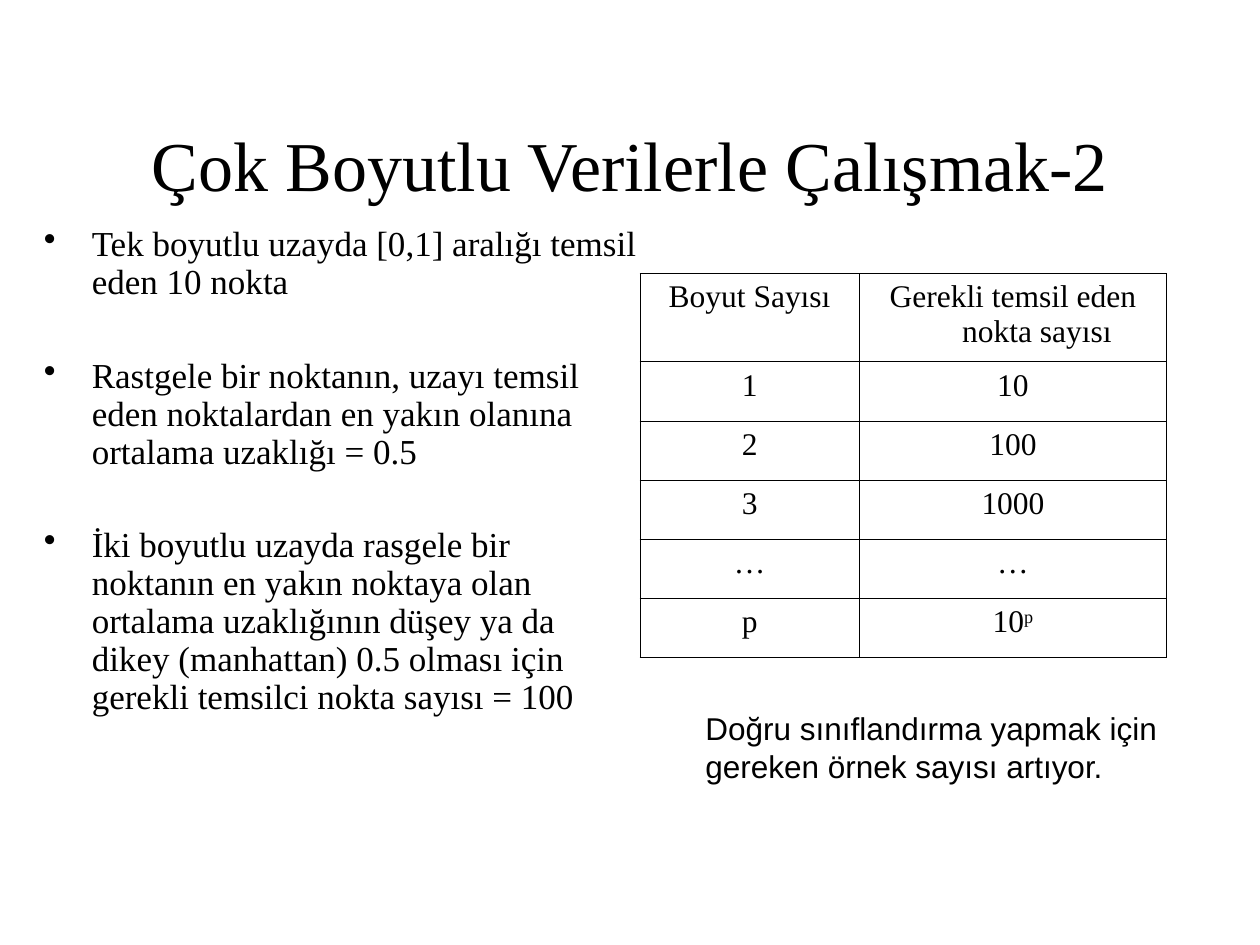
from lxml.etree import SubElement
from pptx import Presentation
from pptx.dml.color import RGBColor
from pptx.enum.text import MSO_ANCHOR, PP_ALIGN
from pptx.oxml.ns import qn
from pptx.util import Inches, Pt

BLACK = "000000"
SERIF = "Times New Roman"
SANS = "Arial"
INDENT = Inches(0.38)

POINTS = [
    "Tek boyutlu uzayda [0,1] aralığı temsil eden 10 nokta",
    "Rastgele bir noktanın, uzayı temsil eden noktalardan en yakın olanına "
    "ortalama uzaklığı = 0.5",
    "İki boyutlu uzayda rasgele bir noktanın en yakın noktaya olan ortalama "
    "uzaklığının düşey ya da dikey (manhattan) 0.5 olması için gerekli "
    "temsilci nokta sayısı = 100",
]
SAMPLE_COUNTS = [
    ("Boyut Sayısı", "Gerekli temsil eden nokta sayısı"),
    ("1", "10"),
    ("2", "100"),
    ("3", "1000"),
    ("…", "…"),
    ("p", "10"),
]
CONCLUSION = ["Doğru sınıflandırma yapmak için", "gereken örnek sayısı artıyor."]


def color(hex_value):
    return RGBColor.from_string(hex_value)


def add_run(paragraph, text, size, font=SERIF):
    run = paragraph.add_run()
    run.text = text
    run.font.size = Pt(size)
    run.font.name = font
    run.font.color.rgb = color(BLACK)
    return run


def hang(paragraph):
    properties = paragraph._p.get_or_add_pPr()
    properties.set("marL", str(INDENT))
    properties.set("indent", str(-INDENT))
    return properties


def add_text_frame(slide, box):
    frame = slide.shapes.add_textbox(*box).text_frame
    frame.word_wrap = True
    return frame


def next_paragraph(frame, index):
    return frame.add_paragraph() if index else frame.paragraphs[0]


def place_title(slide, box):
    title = slide.shapes.title
    title.left, title.top, title.width, title.height = box
    title.text_frame.vertical_anchor = MSO_ANCHOR.MIDDLE
    heading = title.text_frame.paragraphs[0]
    heading.alignment = PP_ALIGN.CENTER
    add_run(heading, "Çok Boyutlu Verilerle Çalışmak-2", 40)


def place_points(slide, box):
    frame = add_text_frame(slide, box)
    for index, point in enumerate(POINTS):
        paragraph = next_paragraph(frame, index)
        SubElement(hang(paragraph), qn("a:buChar"), char="•")
        paragraph.line_spacing = 0.9
        if index:
            paragraph.space_before = Pt(32)
        add_run(paragraph, point, 20)


def outline_cell(cell):
    properties = cell._tc.get_or_add_tcPr()
    for side in ("a:lnL", "a:lnR", "a:lnT", "a:lnB"):
        line = SubElement(properties, qn(side), w=str(Pt(0.45)))
        fill = SubElement(line, qn("a:solidFill"))
        SubElement(fill, qn("a:srgbClr"), val=BLACK)
    cell.fill.background()


def place_sample_counts(slide, box):
    frame = slide.shapes.add_table(len(SAMPLE_COUNTS), 2, *box)
    table = frame.table
    table.first_row = False
    table.horz_banding = False
    for column, width in zip(table.columns, (1.74, 2.44)):
        column.width = Inches(width)
    for index, (row, values) in enumerate(zip(table.rows, SAMPLE_COUNTS)):
        row.height = Inches(0.47 if index else 0.7)
        for cell, value in zip(row.cells, values):
            outline_cell(cell)
            paragraph = cell.text_frame.paragraphs[0]
            paragraph.alignment = PP_ALIGN.CENTER
            hang(paragraph)
            add_run(paragraph, value, 18)
    exponent = add_run(table.cell(len(SAMPLE_COUNTS) - 1, 1).text_frame.paragraphs[0], "p", 18)
    exponent.font._element.set("baseline", "30000")


def place_conclusion(slide, box):
    frame = add_text_frame(slide, box)
    for index, line in enumerate(CONCLUSION):
        add_run(next_paragraph(frame, index), line, 18, SANS)


def inches_box(*lengths):
    return [Inches(length) for length in lengths]


def main():
    presentation = Presentation()
    presentation.slide_width = Inches(10)
    presentation.slide_height = Inches(7.5)
    slide = presentation.slides.add_slide(presentation.slide_layouts[5])
    place_title(slide, inches_box(0.75, 0.67, 8.5, 1.25))
    place_points(slide, inches_box(0.25, 1.75, 4.92, 4.95))
    place_sample_counts(slide, inches_box(5.08, 2.17, 4.18, 3.05))
    place_conclusion(slide, inches_box(5.5, 5.58, 3.85, 0.7))
    presentation.save("out.pptx")


if __name__ == "__main__":
    main()
